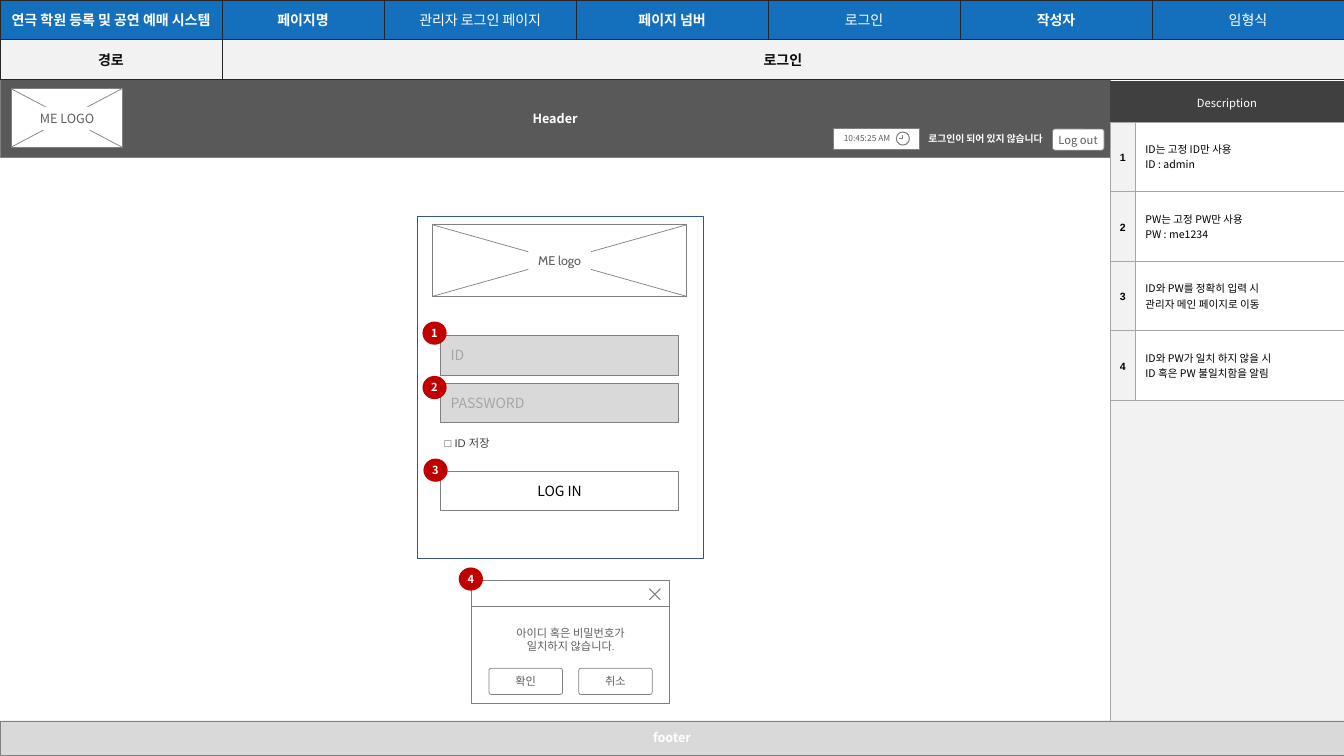
"""Builds the wireframe slide of the administrator login page."""
from dataclasses import dataclass

from lxml import etree
from pptx import Presentation
from pptx import util as u
from pptx.dml.color import RGBColor
from pptx.enum import shapes, text
from pptx.oxml import ns

SHAPE = shapes.MSO_SHAPE
LEFT, CENTER, RIGHT = text.PP_ALIGN.LEFT, text.PP_ALIGN.CENTER, text.PP_ALIGN.RIGHT
TOP, MIDDLE = text.MSO_ANCHOR.TOP, text.MSO_ANCHOR.MIDDLE


@dataclass(frozen=True)
class Theme:
    font: str = "Noto Sans CJK KR"
    number_font: str = "Arial"
    logo_font: str = "Cabin"
    white: str = "FFFFFF"
    black: str = "000000"
    route_ink: str = "0C0C0C"
    blue: str = "1470BC"
    frame: str = "325491"
    red: str = "C00000"
    pale: str = "F2F2F2"
    field: str = "D9D9D9"
    hint: str = "A6A6A6"
    outline: str = "808080"
    label: str = "5F5F5F"
    bar: str = "595959"
    dark: str = "404040"
    grid: str = "262626"
    heading: float = 10
    base: float = 9
    small: float = 8
    marker: float = 7.9
    note: float = 7.5
    status: float = 7
    clock: float = 6


def assign(target, values):
    for name, value in values.items():
        setattr(target, name, value)


class Wireframe:
    def __init__(self, slide, theme):
        self.slide, self.theme = slide, theme

    def put_text(self, holder, content, size, color, bold=False, font=None, align=CENTER,
                 anchor=MIDDLE, insets=(0.1, 0.05, 0.1, 0.05), spacing=1.0):
        frame = holder.text_frame
        box = holder if hasattr(holder, "merge") else frame
        sides = ("margin_left", "margin_top", "margin_right", "margin_bottom")
        assign(box, dict(zip(sides, map(u.Inches, insets)), vertical_anchor=anchor))
        for index, line in enumerate(content.split("\n")):
            paragraph = frame.add_paragraph() if index else frame.paragraphs[0]
            assign(paragraph, {"alignment": align, "line_spacing": spacing})
            run = paragraph.add_run()
            run.text = line
            assign(run.font, {"size": u.Pt(size), "bold": bold, "name": font or self.theme.font})
            run.font.color.rgb = RGBColor.from_string(color)
            east_asian = etree.SubElement(run._r.get_or_add_rPr(), ns.qn("a:ea"))
            east_asian.set("typeface", self.theme.font)

    def paint(self, shape, fill=None, line=None, width=0.5):
        if fill:
            shape.fill.solid()
            shape.fill.fore_color.rgb = RGBColor.from_string(fill)
        else:
            shape.fill.background()
        if line:
            self.stroke(shape, line, width)
        else:
            shape.line.fill.background()

    def stroke(self, shape, color, width):
        shape.line.color.rgb = RGBColor.from_string(color)
        shape.line.width = u.Pt(width)

    def title(self, place, content, fill, line):
        shape = self.slide.shapes.title
        assign(shape, dict(zip(("left", "top", "width", "height"), map(u.Inches, place))))
        self.paint(shape, fill, line, 0.25)
        shape.text_frame.auto_size = text.MSO_AUTO_SIZE.NONE
        self.put_text(shape, content, self.theme.base, self.theme.white, bold=True)

    def shape(self, place, fill=None, line=None, width=0.5, kind=SHAPE.RECTANGLE,
              corner=None, content=None, wrap=True, **style):
        shape = self.slide.shapes.add_shape(kind, *map(u.Inches, place))
        shape.shadow.inherit = False
        self.paint(shape, fill, line, width)
        if corner is not None:
            shape.adjustments[0] = corner
        if content:
            shape.text_frame.word_wrap = wrap
            self.put_text(shape, content, **style)

    def textbox(self, place, content, wrap=True, **style):
        box = self.slide.shapes.add_textbox(*map(u.Inches, place))
        box.text_frame.word_wrap = wrap
        self.put_text(box, content, anchor=TOP, **style)

    def line(self, x1, y1, x2, y2, width=0.5):
        connector = self.slide.shapes.add_connector(
            shapes.MSO_CONNECTOR.STRAIGHT, *map(u.Inches, (x1, y1, x2, y2)))
        self.stroke(connector, self.theme.outline, width)
        etree.SubElement(connector.element.spPr, ns.qn("a:effectLst"))

    def cross(self, left, top, width, height, weight=0.5):
        self.line(left, top + height, left + width, top, weight)
        self.line(left, top, left + width, top + height, weight)

    def logo(self, place, label_place, content, font):
        self.shape(place, self.theme.white, self.theme.outline)
        self.cross(*place)
        self.shape(label_place, self.theme.white, content=content, wrap=False,
                   size=self.theme.base, color=self.theme.label, font=font,
                   insets=(0.08, 0.04, 0.08, 0.04))

    def marker(self, left, top, number):
        self.shape((left, top, 0.24, 0.23), self.theme.red, kind=SHAPE.OVAL, content=number,
                   size=self.theme.marker, color=self.theme.white, bold=True, insets=(0,) * 4)

    def clock(self, left, top, size):
        self.shape((left, top, size, size), line=self.theme.outline, width=0.75, kind=SHAPE.OVAL)
        x, y = left + size / 2, top + size / 2
        self.line(x, y - 0.04, x, y, 0.75)
        self.line(x, y, x - 0.04, y, 0.75)

    def table(self, left, top, columns, rows, border=None):
        frame = self.slide.shapes.add_table(
            len(rows), len(columns), *map(u.Inches, (left, top, sum(columns), sum(rows))))
        table = frame.table
        assign(table, {"first_row": False, "horz_banding": False})
        for column, width in zip(table.columns, columns):
            column.width = u.Inches(width)
        for row, height in zip(table.rows, rows):
            row.height = u.Inches(height)
        for cell in table.iter_cells():
            self.border(cell, border)
        return table

    def border(self, cell, color):
        properties = cell._tc.get_or_add_tcPr()
        for side in ("a:lnL", "a:lnR", "a:lnT", "a:lnB"):
            edge = etree.SubElement(properties, ns.qn(side), w=str(u.Pt(0.5)))
            if color:
                fill = etree.SubElement(edge, ns.qn("a:solidFill"))
                etree.SubElement(fill, ns.qn("a:srgbClr"), val=color)
            else:
                etree.SubElement(edge, ns.qn("a:noFill"))

    def cell(self, cell, fill, content=None, **style):
        cell.fill.solid()
        cell.fill.fore_color.rgb = RGBColor.from_string(fill)
        if content:
            self.put_text(cell, content, **style)


def add_page_info(page, theme):
    table = page.table(0, 0, [2.2, 1.61] + [9.52 / 5] * 5, [0.79 / 2] * 2, theme.grid)
    style = {"size": theme.heading, "insets": (0.09, 0.04, 0.09, 0.04)}
    names = ("연극 학원 등록 및 공연 예매 시스템", "페이지명", "관리자 로그인 페이지",
             "페이지 넘버", "로그인", "작성자", "임형식")
    for index, name in enumerate(names):
        page.cell(table.cell(0, index), theme.blue, name, color=theme.white,
                  bold=index in (0, 1, 3, 5), **style)
    table.cell(1, 1).merge(table.cell(1, 6))
    for index, name in enumerate(("경로", "로그인")):
        page.cell(table.cell(1, index), theme.pale, name, color=theme.route_ink, bold=True, **style)


def add_description(page, theme):
    notes = ("ID는 고정 ID만 사용\nID : admin",
             "PW는 고정 PW만 사용\nPW : me1234",
             "ID와 PW를 정확히 입력 시\n관리자 메인 페이지로 이동",
             "ID와 PW가 일치 하지 않을 시\nID 혹은 PW 불일치함을 알림")
    style = {"size": theme.note, "color": theme.black}
    table = page.table(11.01, 1.21, [0.25, 2.07], [0.69] * 4 + [3.19], theme.hint)
    for index, note in enumerate(notes):
        page.cell(table.cell(index, 0), theme.pale, str(index + 1), bold=True, spacing=1.2,
                  font=theme.number_font, insets=(0, 0.05, 0, 0.05), **style)
        page.cell(table.cell(index, 1), theme.white, note, align=LEFT, **style)
    table.cell(4, 0).merge(table.cell(4, 1))
    page.cell(table.cell(4, 0), theme.pale)
    heading = page.table(11.01, 0.8, [2.32], [0.41])
    page.cell(heading.cell(0, 0), theme.dark, "Description", size=theme.small,
              color=theme.white, spacing=1.2, insets=(0, 0.05, 0, 0.05))


def add_header(page, theme):
    page.title((0, 0.79, 11.01, 0.77), "Header", theme.bar, theme.outline)
    page.textbox((9.08, 1.27, 1.36, 0.22), "로그인이 되어 있지 않습니다", wrap=False,
                 size=theme.status, color=theme.white, bold=True, align=RIGHT)
    page.shape((10.44, 1.28, 0.51, 0.21), theme.white, theme.outline, corner=0.11,
               kind=SHAPE.ROUNDED_RECTANGLE, content="Log out", wrap=False, size=theme.small,
               color=theme.label, align=LEFT, insets=(0.05, 0.03, 0.05, 0.03))
    page.shape((8.27, 1.27, 0.85, 0.21), theme.white, theme.outline, content="10:45:25 AM",
               wrap=False, size=theme.clock, color=theme.label, align=LEFT,
               insets=(0.1, 0.06, 0.25, 0.06))
    page.clock(8.89, 1.31, 0.13)
    page.logo((0.11, 0.88, 1.1, 0.58), (0.31, 1.06, 0.71, 0.23), "ME LOGO", theme.font)


def add_login(page, theme):
    page.logo((4.29, 2.23, 2.52, 0.71), (5.24, 2.47, 0.62, 0.23), "ME logo", theme.logo_font)
    for top, label, fill, color, align in (
            (3.33, "ID", theme.field, theme.hint, LEFT),
            (3.8, "PASSWORD", theme.field, theme.hint, LEFT),
            (4.67, "LOG IN", theme.white, theme.black, CENTER)):
        page.shape((4.37, top, 2.36, 0.39), fill, theme.outline, 0.25, content=label,
                   size=theme.heading, color=color, align=align)
    page.textbox((4.37, 4.22, 1.28, 0.28), "□ ID 저장", size=theme.small, color=theme.dark,
                 font=theme.number_font, align=LEFT, insets=(0.04,) * 4, spacing=1.5)
    page.shape((4.14, 2.15, 2.84, 3.39), line=theme.frame, width=1)


def add_alert(page, theme):
    style = {"size": theme.small, "color": theme.label, "font": theme.logo_font}
    for top, height in ((6.02, 0.96), (5.76, 0.26)):
        page.shape((4.68, top, 1.96, height), theme.white, theme.outline)
    page.textbox((4.78, 6.17, 1.76, 0.65), "아이디 혹은 비밀번호가\n일치하지 않습니다.",
                 insets=(0.08, 0.04, 0.08, 0.04), **style)
    page.cross(6.44, 5.84, 0.11, 0.11, 0.75)
    for left, label in ((4.85, "확인"), (5.74, "취소")):
        page.shape((left, 6.63, 0.73, 0.26), theme.white, theme.outline, corner=0.09,
                   kind=SHAPE.ROUNDED_RECTANGLE, content=label, **style)


def main():
    presentation = Presentation()
    assign(presentation, {"slide_width": u.Inches(13.33), "slide_height": u.Inches(7.5)})
    slide = presentation.slides.add_slide(presentation.slide_layouts[5])
    theme = Theme()
    page = Wireframe(slide, theme)
    for add_part in (add_description, add_header, add_page_info, add_login, add_alert):
        add_part(page, theme)
    page.shape((0, 7.15, 13.33, 0.34), theme.field, theme.outline, 0.25, content="footer",
               size=theme.base, color=theme.white, bold=True)
    markers = ((4.19, 3.19), (4.19, 3.73), (4.2, 4.55), (4.55, 5.63))
    for number, (left, top) in enumerate(markers, 1):
        page.marker(left, top, str(number))
    presentation.save("out.pptx")


if __name__ == "__main__":
    main()
